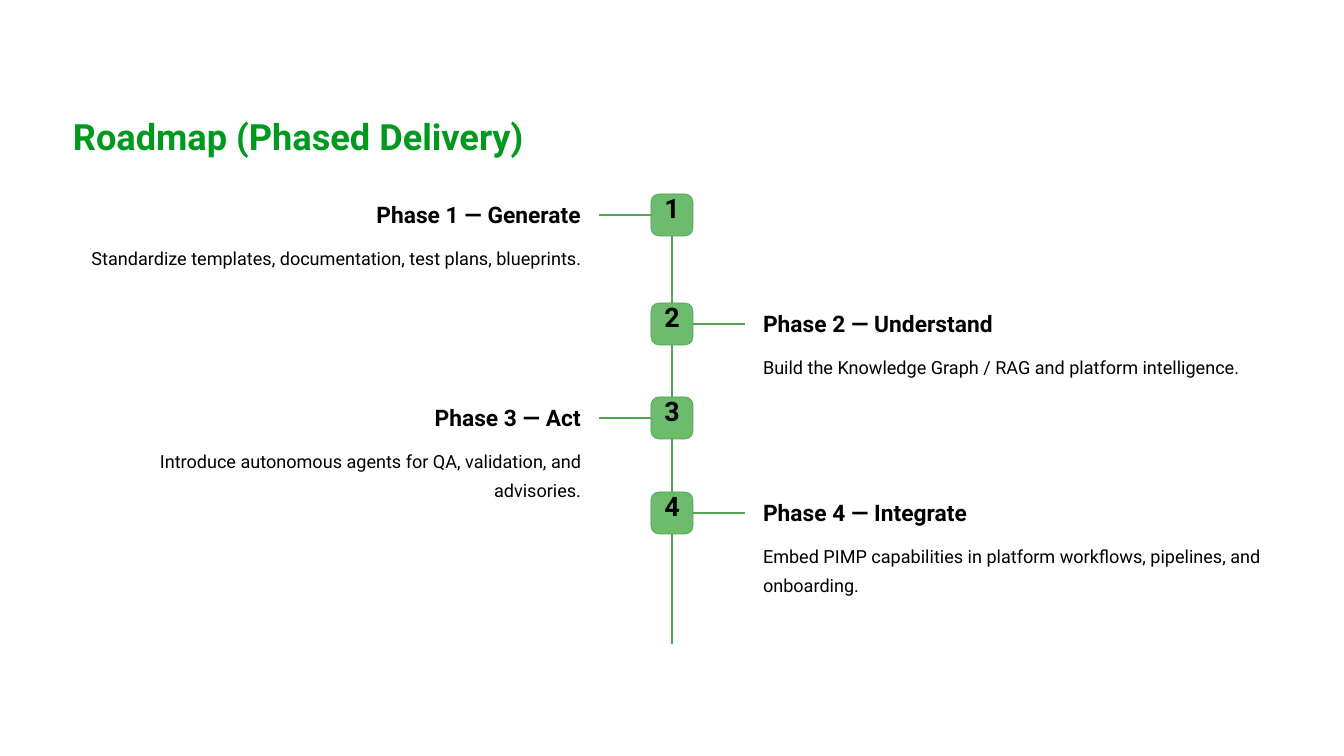
from lxml.etree import SubElement
from pptx import Presentation
from pptx.dml.color import RGBColor
from pptx.enum.shapes import MSO_CONNECTOR, MSO_SHAPE
from pptx.enum.text import MSO_ANCHOR, MSO_AUTO_SIZE, PP_ALIGN
from pptx.oxml.ns import qn
from pptx.util import Pt

TITLE = "Roadmap (Phased Delivery)"
PHASES = [
    (194, "Phase 1 — Generate",
     "Standardize templates, documentation, test plans, blueprints."),
    (303, "Phase 2 — Understand",
     "Build the Knowledge Graph / RAG and platform intelligence."),
    (397, "Phase 3 — Act",
     "Introduce autonomous agents for QA, validation, and advisories."),
    (492, "Phase 4 — Integrate",
     "Embed PIMP capabilities in platform workflows, pipelines, and onboarding."),
]

FONT = "Roboto"
GREEN = RGBColor(0x00, 0x99, 0x1F)
LINE = RGBColor(0x53, 0xA2, 0x53)
BADGE = RGBColor(0x6D, 0xBC, 0x6D)
BLACK = RGBColor(0, 0, 0)

CENTER, SPINE_BOTTOM = 672, 644
BADGE_SIZE, BRANCH_END, TEXT_GAP, TEXT_W = 42, 73, 91, 508


def px(n):
    return round(n * 914400 / 84)


def write(shape, text, size, spacing, color=BLACK, bold=False,
          align=PP_ALIGN.LEFT, inset_top=0):
    tf = shape.text_frame
    tf.word_wrap = True
    tf.auto_size = MSO_AUTO_SIZE.NONE
    tf.vertical_anchor = MSO_ANCHOR.TOP
    tf.margin_left = tf.margin_right = tf.margin_bottom = 0
    tf.margin_top = px(inset_top)
    p = tf.paragraphs[0]
    p.alignment = align
    p.line_spacing = Pt(spacing)
    p.space_before = Pt(0)
    r = p.add_run()
    r.text = text
    r.font.name, r.font.size, r.font.bold = FONT, Pt(size), bold
    r.font.color.rgb = color


def add_line(s, x1, y1, x2, y2):
    line = s.shapes.add_connector(MSO_CONNECTOR.STRAIGHT, px(x1), px(y1), px(x2), px(y2))
    line.line.color.rgb = LINE
    line.line.width = Pt(2)
    SubElement(line._element.spPr, qn("a:effectLst"))


def add_text(s, x, y, w, h, *args, **kwargs):
    write(s.shapes.add_textbox(px(x), px(y), px(w), px(h)), *args, **kwargs)


def add_phase(s, number, top, heading, detail):
    on_left = number % 2 == 1
    side = -1 if on_left else 1
    align = PP_ALIGN.RIGHT if on_left else PP_ALIGN.LEFT
    half = BADGE_SIZE / 2
    add_line(s, CENTER + side * half, top + half, CENTER + side * BRANCH_END, top + half)

    badge = s.shapes.add_shape(MSO_SHAPE.ROUNDED_RECTANGLE, px(CENTER - half), px(top),
                               px(BADGE_SIZE), px(BADGE_SIZE))
    badge.adjustments[0] = 0.19
    badge.shadow.inherit = False
    badge.fill.solid()
    badge.fill.fore_color.rgb = BADGE
    badge.line.color.rgb = LINE
    badge.line.width = Pt(0.6)
    write(badge, str(number), 23, 23, bold=True, align=PP_ALIGN.CENTER, inset_top=1)

    x = CENTER + side * TEXT_GAP - (TEXT_W if on_left else 0)
    add_text(s, x, top + 6, TEXT_W, 28, heading, 19.5, 24, bold=True, align=align)
    add_text(s, x, top + 46, TEXT_W, 58, detail, 15.5, 25, align=align)


def main():
    prs = Presentation()
    prs.slide_width, prs.slide_height = px(1344), px(756)
    s = prs.slides.add_slide(prs.slide_layouts[5])
    title = s.shapes.title
    title.left, title.top, title.width, title.height = px(73), px(112), px(474), px(45)
    write(title, TITLE, 31, 39, GREEN, bold=True)

    add_line(s, CENTER, PHASES[0][0], CENTER, SPINE_BOTTOM)
    for number, phase in enumerate(PHASES, 1):
        add_phase(s, number, *phase)
    prs.save("out.pptx")


if __name__ == "__main__":
    main()
